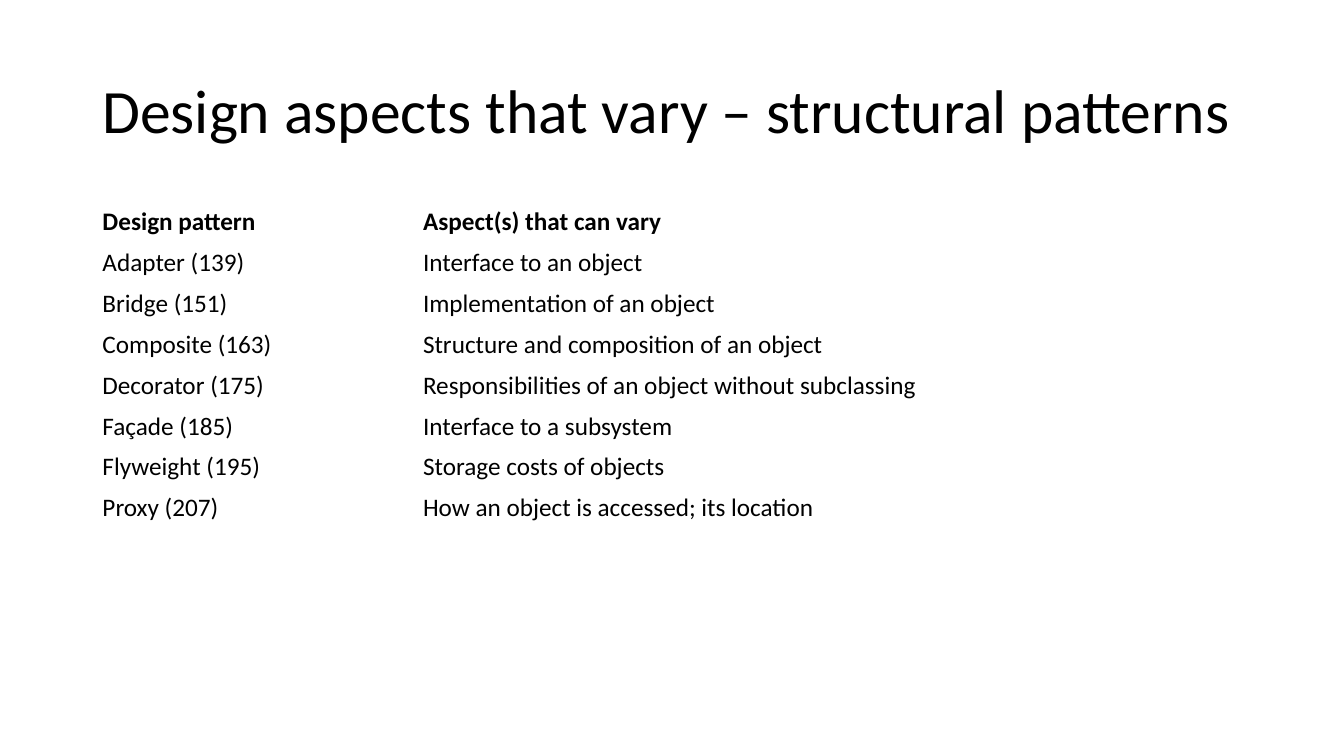
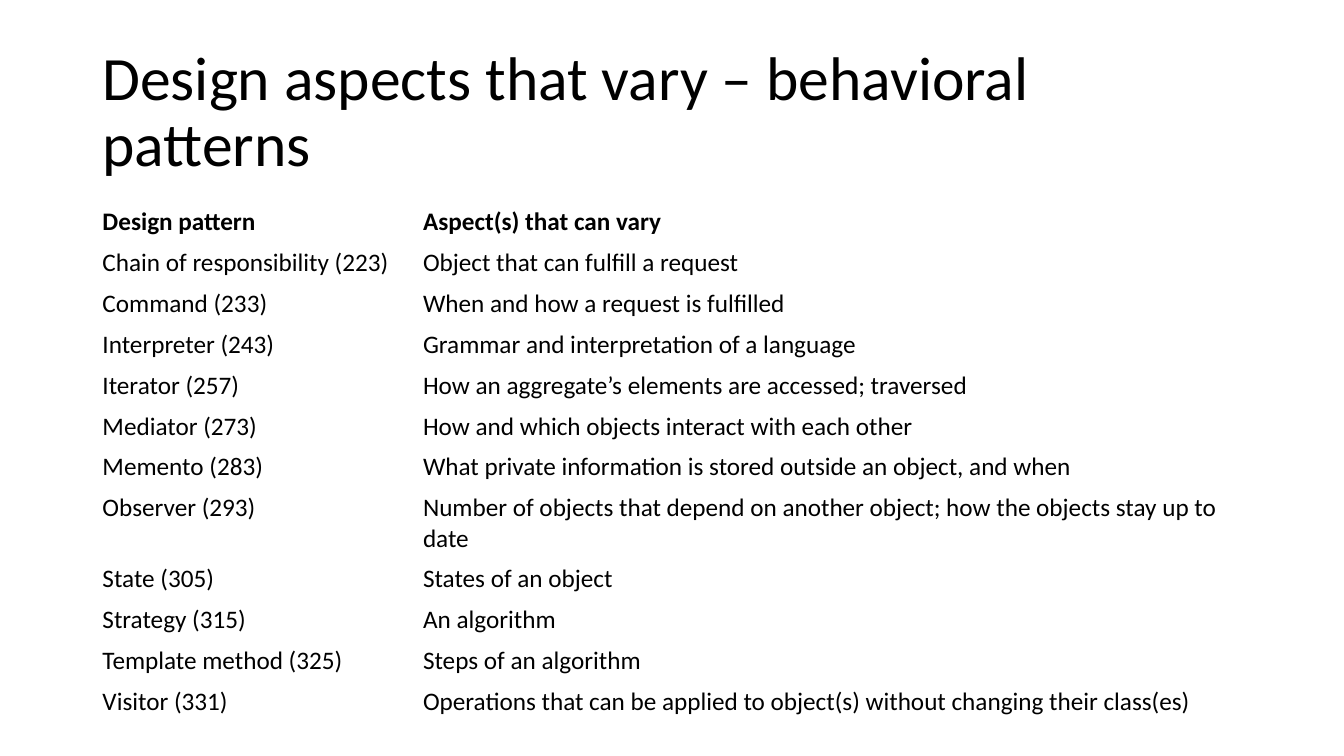
import pptx
import pptx.dml.color
import pptx.enum.text
import pptx.util


def color(hex_text):
    return pptx.dml.color.RGBColor.from_string(hex_text)


class Deck:
    """Shared style, slide grid and the current slide."""

    FONT, INK, PAPER = "Calibri", "000000", "FFFFFF"
    TITLE_SIZE, BODY_SIZE = 44, 18
    COLS, ROWS = 160, 90                  # grid units across and down
    LEFT, WIDTH = 11, 138                 # content column
    TITLE_TOP, TITLE_HEIGHT = 4.8, 17.4
    TABLE_TOP, ROW_HEIGHT = 24, 4.87
    NAME_WIDTH = 38.16                    # first table column

    def __init__(self):
        self.prs = pptx.Presentation()
        self.prs.slide_width = pptx.util.Inches(13.33)
        self.prs.slide_height = pptx.util.Inches(7.5)
        self.s = None

    def x(self, cols):
        return round(self.prs.slide_width * cols / self.COLS)

    def y(self, rows):
        return round(self.prs.slide_height * rows / self.ROWS)

    def add_slide(self):
        self.s = self.prs.slides.add_slide(self.prs.slide_layouts[6])
        fill = self.s.background.fill
        fill.solid()
        fill.fore_color.rgb = color(self.PAPER)

    def add_run(self, p, text, size, bold=False):
        r = p.add_run()
        r.text = text
        r.font.name = self.FONT
        r.font.size = pptx.util.Pt(size)
        r.font.bold = bold
        r.font.color.rgb = color(self.INK)

    def add_title(self, text):
        sp = self.s.shapes.add_textbox(
            self.x(self.LEFT), self.y(self.TITLE_TOP),
            self.x(self.WIDTH), self.y(self.TITLE_HEIGHT))
        tf = sp.text_frame
        tf.word_wrap = True
        tf.vertical_anchor = pptx.enum.text.MSO_ANCHOR.MIDDLE
        p = tf.paragraphs[0]
        p.line_spacing = 0.9
        self.add_run(p, text, self.TITLE_SIZE)

    def add_table(self, rows):
        table = self.s.shapes.add_table(
            len(rows), 2, self.x(self.LEFT), self.y(self.TABLE_TOP),
            self.x(self.WIDTH), self.y(self.ROW_HEIGHT * len(rows))).table
        table.first_row = table.horz_banding = False
        table.columns[0].width = self.x(self.NAME_WIDTH)
        table.columns[1].width = self.x(self.WIDTH - self.NAME_WIDTH)
        for i, row in enumerate(rows):
            table.rows[i].height = self.y(self.ROW_HEIGHT)
            for j, text in enumerate(row):
                cell = table.cell(i, j)
                cell.fill.background()
                p = cell.text_frame.paragraphs[0]
                self.add_run(p, text, self.BODY_SIZE, bold=i == 0)


HEADER = ("Design pattern", "Aspect(s) that can vary")

# Pattern families: pattern with page number, and what it lets vary
FAMILIES = {
    "structural": [
        ("Adapter (139)", "Interface to an object"),
        ("Bridge (151)", "Implementation of an object"),
        ("Composite (163)", "Structure and composition of an object"),
        ("Decorator (175)", "Responsibilities of an object without subclassing"),
        ("Façade (185)", "Interface to a subsystem"),
        ("Flyweight (195)", "Storage costs of objects"),
        ("Proxy (207)", "How an object is accessed; its location"),
    ],
    "behavioral": [
        ("Chain of responsibility (223)", "Object that can fulfill a request"),
        ("Command (233)", "When and how a request is fulfilled"),
        ("Interpreter (243)", "Grammar and interpretation of a language"),
        ("Iterator (257)", "How an aggregate’s elements are accessed; traversed"),
        ("Mediator (273)", "How and which objects interact with each other"),
        ("Memento (283)",
         "What private information is stored outside an object, and when"),
        ("Observer (293)",
         "Number of objects that depend on another object; "
         "how the objects stay up to date"),
        ("State (305)", "States of an object"),
        ("Strategy (315)", "An algorithm"),
        ("Template method (325)", "Steps of an algorithm"),
        ("Visitor (331)",
         "Operations that can be applied to object(s) "
         "without changing their class(es)"),
    ],
}


def main():
    deck = Deck()
    # One slide per family
    for family, patterns in FAMILIES.items():
        deck.add_slide()
        deck.add_title(f"Design aspects that vary – {family} patterns")
        deck.add_table([HEADER, *patterns])
    deck.prs.save("out.pptx")


if __name__ == "__main__":
    main()
